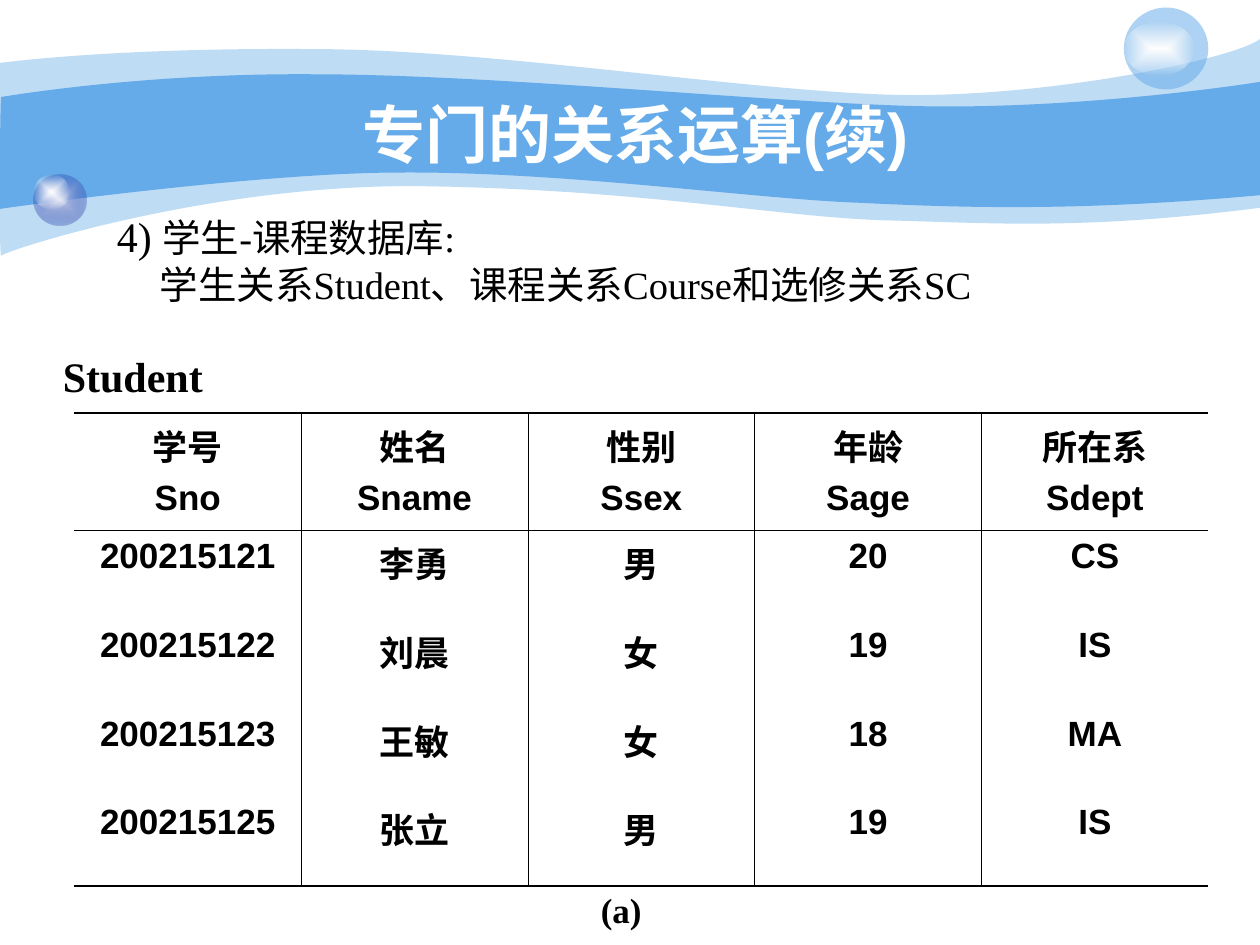
from lxml.etree import SubElement
from pptx import Presentation
from pptx.dml.color import RGBColor
from pptx.enum.shapes import MSO_SHAPE
from pptx.enum.text import MSO_ANCHOR, MSO_AUTO_SIZE, PP_ALIGN
from pptx.oxml import parse_xml
from pptx.oxml.ns import nsdecls, qn
from pptx.util import Inches, Pt

BLUE, BLACK, WHITE = "65AAE9", "000000", "FFFFFF"
SERIF, SANS = "Times New Roman", "Arial"
THIN, THICK = 0.45, 1.08

PALE_WAVE = [
    (0, 0.5),
    (0.24, 0.47, 1.07, 0.38, 2.47, 0.39),
    (3.86, 0.39, 5.75, 0.7, 6.99, 0.75),
    (8.22, 0.8, 9.8, 0.47, 10, 0.31),
    (10, 1.65),
    (8.58, 1.83, 7.87, 1.77, 7.05, 1.75),
    (6.22, 1.73, 5.15, 1.51, 3.43, 1.48),
    (1.72, 1.44, 0.04, 1.99, 0.01, 2.03),
    (-0.01, 2.08, 0, 0.75, 0, 0.5),
]
BLUE_WAVE = [
    (0.01, 0.77),
    (0.02, 0.77, 1.1, 0.58, 2.48, 0.59),
    (3.86, 0.59, 5.95, 0.8, 7.18, 0.84),
    (8.41, 0.88, 9.76, 0.69, 10, 0.65),
    (10, 1.55),
    (8.53, 1.68, 7.65, 1.65, 6.82, 1.61),
    (5.99, 1.58, 4.47, 1.36, 3.17, 1.37),
    (2.03, 1.37, -0.02, 1.66, -0.01, 1.66),
    (0, 1.66, 0, 0.77, 0.01, 0.77),
]
STUDENTS = [
    ["学号\nSno", "姓名\nSname", "性别\nSsex", "年龄\nSage", "所在系\nSdept"],
    ["200215121", "李勇", "男", "20", "CS"],
    ["200215122", "刘晨", "女", "19", "IS"],
    ["200215123", "王敏", "女", "18", "MA"],
    ["200215125", "张立", "男", "19", "IS"],
]
ROW_HEIGHTS = [0.93, 0.71, 0.7, 0.7, 0.71]


def rgb(color):
    return RGBColor.from_string(color)


def format_run(r, size, font, color=BLACK, bold=False):
    r.font.size = Pt(size)
    r.font.name = font
    r.font.bold = bold
    r.font.color.rgb = rgb(color)


def finish_shape(sp, color=None, opacity=100):
    sp.shadow.inherit = False
    sp.line.fill.background()
    if color:
        sp.fill.solid()
        sp.fill.fore_color.rgb = rgb(color)
        if opacity < 100:
            clr = sp.element.spPr.find(".//" + qn("a:srgbClr"))
            SubElement(clr, qn("a:alpha"), val=str(opacity * 1000))


def add_wave(s, segments, opacity=100):
    points = [(Inches(seg[i]), Inches(seg[i + 1]))
              for seg in segments for i in range(0, len(seg), 2)]
    builder = s.shapes.build_freeform(*points[0])
    builder.add_line_segments(points[1:], close=True)
    sp = builder.convert_to_shape()
    lines = iter(sp.element.findall(".//" + qn("a:lnTo")))
    for seg in segments[1:]:
        line = next(lines)
        if len(seg) == 6:
            line.tag = qn("a:cubicBezTo")
            for _ in range(2):
                extra = next(lines)
                line.append(extra[0])
                extra.getparent().remove(extra)
    finish_shape(sp, BLUE, opacity)


def add_ellipse(grp, box, color=None, opacity=100):
    sp = grp.shapes.add_shape(MSO_SHAPE.OVAL, *map(Inches, box))
    finish_shape(sp, color, opacity)
    return sp


def add_glow(grp, box, inner, outer, outer_opacity):
    sp = add_ellipse(grp, box)
    grad = parse_xml(
        f'<a:gradFill {nsdecls("a")} rotWithShape="1"><a:gsLst>'
        f'<a:gs pos="0"><a:srgbClr val="{inner}"/></a:gs>'
        f'<a:gs pos="100000"><a:srgbClr val="{outer}">'
        f'<a:alpha val="{outer_opacity * 1000}"/></a:srgbClr></a:gs></a:gsLst>'
        '<a:path path="rect"><a:fillToRect l="50000" t="50000" r="50000" b="50000"/>'
        '</a:path></a:gradFill>')
    sp.element.spPr.find(qn("a:prstGeom")).addnext(grad)


def add_title(s, text):
    title = s.shapes.title
    title.element.getparent().append(title.element)
    title.left, title.top, title.width, title.height = map(Inches, (1, 0.75, 8.08, 0.62))
    tf = title.text_frame
    tf.text = text
    tf.auto_size = MSO_AUTO_SIZE.NONE
    tf.vertical_anchor = MSO_ANCHOR.MIDDLE
    p = tf.paragraphs[0]
    p.alignment = PP_ALIGN.CENTER
    format_run(p.runs[0], 36, SANS, WHITE, True)


def add_text(s, box, text, size, bold=False, align=PP_ALIGN.LEFT):
    tf = s.shapes.add_textbox(*map(Inches, box)).text_frame
    tf.word_wrap = True
    tf.text = text
    for p in tf.paragraphs:
        p.alignment = align
        for r in p.runs:
            format_run(r, size, SERIF, bold=bold)
    return tf


def add_intro(s):
    tf = add_text(s, (0.83, 1.62, 8.19, 0.87),
                  "4) \n学生关系Student、课程关系Course和选修关系SC", 22)
    first, second = tf.paragraphs
    first.runs[0].font.size = Pt(24)
    r = first.add_run()
    r.text = "学生-课程数据库:"
    format_run(r, 22, SERIF)
    for p, margin, indent in ((first, 0.38, -0.38), (second, 0.34, 0)):
        pPr = p._p.get_or_add_pPr()
        pPr.set("marL", str(Inches(margin)))
        pPr.set("indent", str(Inches(indent)))


def set_borders(cell, widths):
    tcPr = cell._tc.get_or_add_tcPr()
    for side, width in zip("LRTB", widths):
        ln = SubElement(tcPr, qn(f"a:ln{side}"), w=str(Pt(width)))
        if width:
            fill = SubElement(ln, qn("a:solidFill"))
            SubElement(fill, qn("a:srgbClr"), val=BLACK)
        else:
            SubElement(ln, qn("a:noFill"))


def add_student_table(s):
    rows, cols = len(STUDENTS), len(STUDENTS[0])
    table = s.shapes.add_table(rows, cols, *map(Inches, (0.59, 3.28, 9, 3.75))).table
    table.first_row = table.horz_banding = False
    row_edges = [THICK, THIN] + [0] * (rows - 2) + [THICK]
    col_edges = [0] + [THIN] * (cols - 1) + [0]
    for i, record in enumerate(STUDENTS):
        table.rows[i].height = Inches(ROW_HEIGHTS[i])
        for j, text in enumerate(record):
            cell = table.cell(i, j)
            set_borders(cell, col_edges[j:j + 2] + row_edges[i:i + 2])
            cell.fill.background()
            cell.text_frame.text = text
            for k, p in enumerate(cell.text_frame.paragraphs):
                p.alignment = PP_ALIGN.CENTER
                if k:
                    p.space_before = Pt(5)
                format_run(p.runs[0], 20, SANS, bold=True)


def main():
    prs = Presentation()
    prs.slide_width, prs.slide_height = Inches(10), Inches(7.5)
    s = prs.slides.add_slide(prs.slide_layouts[5])
    add_wave(s, PALE_WAVE, 41)
    add_wave(s, BLUE_WAVE)
    violet_orb = s.shapes.add_group_shape()
    add_glow(violet_orb, (0.27, 1.39, 0.42, 0.4), "C7CEE9", "233DA9", 31)
    add_glow(violet_orb, (0.27, 1.39, 0.28, 0.27), WHITE, WHITE, 0)
    blue_orb = s.shapes.add_group_shape()
    add_ellipse(blue_orb, (8.92, 0.06, 0.67, 0.65), BLUE, 53)
    add_glow(blue_orb, (8.92, 0.17, 0.56, 0.43), WHITE, WHITE, 0)
    add_title(s, "专门的关系运算(续)")
    add_text(s, (1.14, 7, 7.58, 0.44), "(a)", 20, True, PP_ALIGN.CENTER)
    label = add_text(s, (0.4, 2.65, 1.4, 0.67), "Student", 24, True)
    label.vertical_anchor = MSO_ANCHOR.MIDDLE
    add_intro(s)
    add_student_table(s)
    prs.save("out.pptx")


if __name__ == "__main__":
    main()
